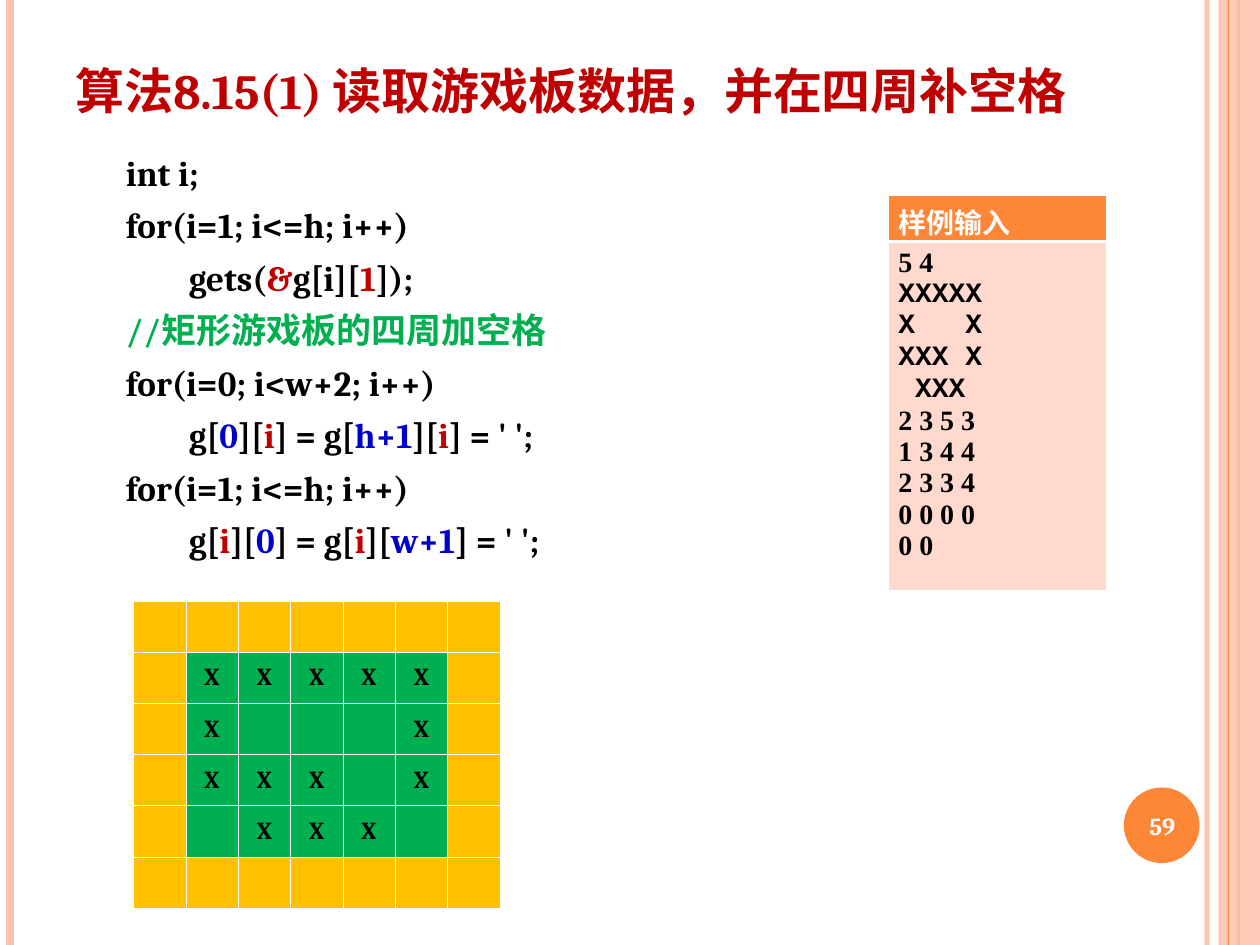
from lxml import etree
from pptx import Presentation
from pptx.dml.color import RGBColor
from pptx.enum.shapes import MSO_CONNECTOR, MSO_SHAPE
from pptx.enum.text import MSO_ANCHOR, PP_ALIGN
from pptx.oxml.ns import qn
from pptx.util import Inches, Pt

STRAIGHT = MSO_CONNECTOR.STRAIGHT
RECTANGLE, OVAL = MSO_SHAPE.RECTANGLE, MSO_SHAPE.OVAL
TOP, MIDDLE, BOTTOM = MSO_ANCHOR.TOP, MSO_ANCHOR.MIDDLE, MSO_ANCHOR.BOTTOM
LEFT, CENTER, JUSTIFY = PP_ALIGN.LEFT, PP_ALIGN.CENTER, PP_ALIGN.JUSTIFY

COLORS = {
    "white": "FFFFFF", "black": "000000", "red": "C00000", "blue": "0000CC",
    "green": "00B050", "gold": "FFC000", "orange": "FE8637",
    "peach": "FEC3AE", "blush": "FFD9CE",
}

CODE = [
    [("int i;", "black")],
    [("for(i=1; i<=h; i++)", "black")],
    [("\tgets(", "black"), ("&", "red"), ("g[i][", "black"), ("1", "red"),
     ("]);", "black")],
    [("//矩形游戏板的四周加空格", "green")],
    [("for(i=0; i<w+2; i++)", "black")],
    [("\tg[", "black"), ("0", "blue"), ("][", "black"), ("i", "red"),
     ("] = g[", "black"), ("h+1", "blue"), ("][", "black"), ("i", "red"),
     ("] = ' ';", "black")],
    [("for(i=1; i<=h; i++)", "black")],
    [("\tg[", "black"), ("i", "red"), ("][", "black"), ("0", "blue"),
     ("] = g[", "black"), ("i", "red"), ("][", "black"), ("w+1", "blue"),
     ("] = ' ';", "black")],
]

BOARD = ["XXXXX", "X   X", "XXX X", " XXX "]
SAMPLE = ["5 4", *BOARD, "2 3 5 3", "1 3 4 4", "2 3 3 4", "0 0 0 0", "0 0"]


def rgb(name):
    """Return the named palette colour."""
    return RGBColor.from_string(COLORS[name])


def set_alpha(shape, percent):
    """Make the first colour of a shape partly transparent."""
    color = next(shape.element.spPr.iter(qn("a:srgbClr")))
    etree.SubElement(color, qn("a:alpha"), val=str(percent * 1000))


def add_stripe(page, x, color, width, alpha=None):
    """Draw a vertical line over the full page height."""
    line = page.shapes.add_connector(
        STRAIGHT, Inches(x), 0, Inches(x), Inches(7.5))
    line.line.color.rgb = rgb(color)
    line.line.width = Pt(width)
    if alpha:
        set_alpha(line, alpha)
    etree.SubElement(line.element.spPr, qn("a:effectLst"))


def add_plain_shape(page, kind, place, color):
    """Draw a filled shape without outline or shadow."""
    shape = page.shapes.add_shape(kind, *map(Inches, place))
    shape.fill.solid()
    shape.fill.fore_color.rgb = rgb(color)
    shape.line.fill.background()
    shape.shadow.inherit = False
    return shape


def write_lines(frame, lines, size, align=LEFT, space=0, font="Cambria"):
    """Fill a text frame with bold lines of (text, colour) spans."""
    for index, spans in enumerate(lines):
        para = frame.add_paragraph() if index else frame.paragraphs[0]
        para.alignment = align
        para.space_before = Pt(space)
        para.font.size = Pt(size)
        para.font.bold = True
        para.font.name = font
        for text, color in spans:
            span = para.add_run()
            span.text = text
            span.font.color.rgb = rgb(color)


def add_text(page, place, lines, size, anchor=TOP, align=LEFT, space=0):
    """Add a wrapping text box."""
    frame = page.shapes.add_textbox(*map(Inches, place)).text_frame
    frame.word_wrap = True
    frame.vertical_anchor = anchor
    write_lines(frame, lines, size, align, space)


def style_cell(cell, color, margin, top=0.45, bottom=0.45):
    """Set the fill, side margins and white borders of a cell."""
    cell.margin_left = cell.margin_right = Inches(margin)
    cell.fill.solid()
    cell.fill.fore_color.rgb = rgb(color)
    properties = cell._tc.get_or_add_tcPr()
    widths = {"a:lnL": 0.45, "a:lnR": 0.45, "a:lnT": top, "a:lnB": bottom}
    for index, (tag, width) in enumerate(widths.items()):
        border = etree.Element(qn(tag), w=str(Pt(width)))
        fill = etree.SubElement(border, qn("a:solidFill"))
        etree.SubElement(fill, qn("a:srgbClr"), val=COLORS["white"])
        properties.insert(index, border)


def add_sample(page):
    """Add the sample input table."""
    table = page.shapes.add_table(
        2, 1, *map(Inches, (7.05, 1.55, 1.73, 2.93))).table
    table.rows[0].height, table.rows[1].height = Inches(0.27), Inches(2.67)
    header, body = table.cell(0, 0), table.cell(1, 0)
    style_cell(header, "orange", 0.08, bottom=1.47)
    write_lines(header.text_frame, [[("样例输入", "white")]], 16, JUSTIFY,
                font="Courier New")
    style_cell(body, "blush", 0.08, top=1.47)
    write_lines(body.text_frame, [[(text, "black")] for text in SAMPLE], 16,
                JUSTIFY, font="Times New Roman")
    for para in body.text_frame.paragraphs[1:1 + len(BOARD)]:
        para.font.name = "Courier New"


def add_board(page):
    """Add the game board with its padding ring of empty cells."""
    rows, columns = len(BOARD) + 2, len(BOARD[0]) + 2
    table = page.shapes.add_table(
        rows, columns, *map(Inches, (1.06, 4.77, 2.91, 2.44))).table
    for r in range(rows):
        for c in range(columns):
            cell = table.cell(r, c)
            inside = 0 < r < rows - 1 and 0 < c < columns - 1
            style_cell(cell, "green" if inside else "gold", 0.07)
            cell.vertical_anchor = MIDDLE
            mark = BOARD[r - 1][c - 1].strip() if inside else ""
            spans = [(mark, "black")] if mark else []
            write_lines(cell.text_frame, [spans], 14, CENTER)


def main():
    """Build and save the slide."""
    deck = Presentation()
    deck.slide_width, deck.slide_height = Inches(10), Inches(7.5)
    page = deck.slides.add_slide(deck.slide_layouts[6])
    add_stripe(page, 9.58, "peach", 3, 93)
    add_stripe(page, 0.08, "peach", 4.5)
    add_stripe(page, 9.83, "orange", 1.5)
    band = add_plain_shape(page, RECTANGLE, (9.67, 0, 0.33, 7.5), "peach")
    set_alpha(band, 87)
    add_stripe(page, 9.75, "orange", 0.75)
    add_plain_shape(page, OVAL, (8.92, 6.25, 0.6, 0.6), "orange")
    title = "算法8.15(1) 读取游戏板数据，并在四周补空格"
    add_text(page, (0.5, 0.13, 8.75, 0.87), [[(title, "red")]], 28, BOTTOM)
    add_text(page, (0.9, 1.15, 8.43, 3.62), CODE, 20, space=6)
    add_text(page, (8.89, 6.27, 0.67, 0.57), [[("59", "white")]], 14,
             MIDDLE, CENTER)
    add_sample(page)
    add_board(page)
    deck.save("out.pptx")


if __name__ == "__main__":
    main()
